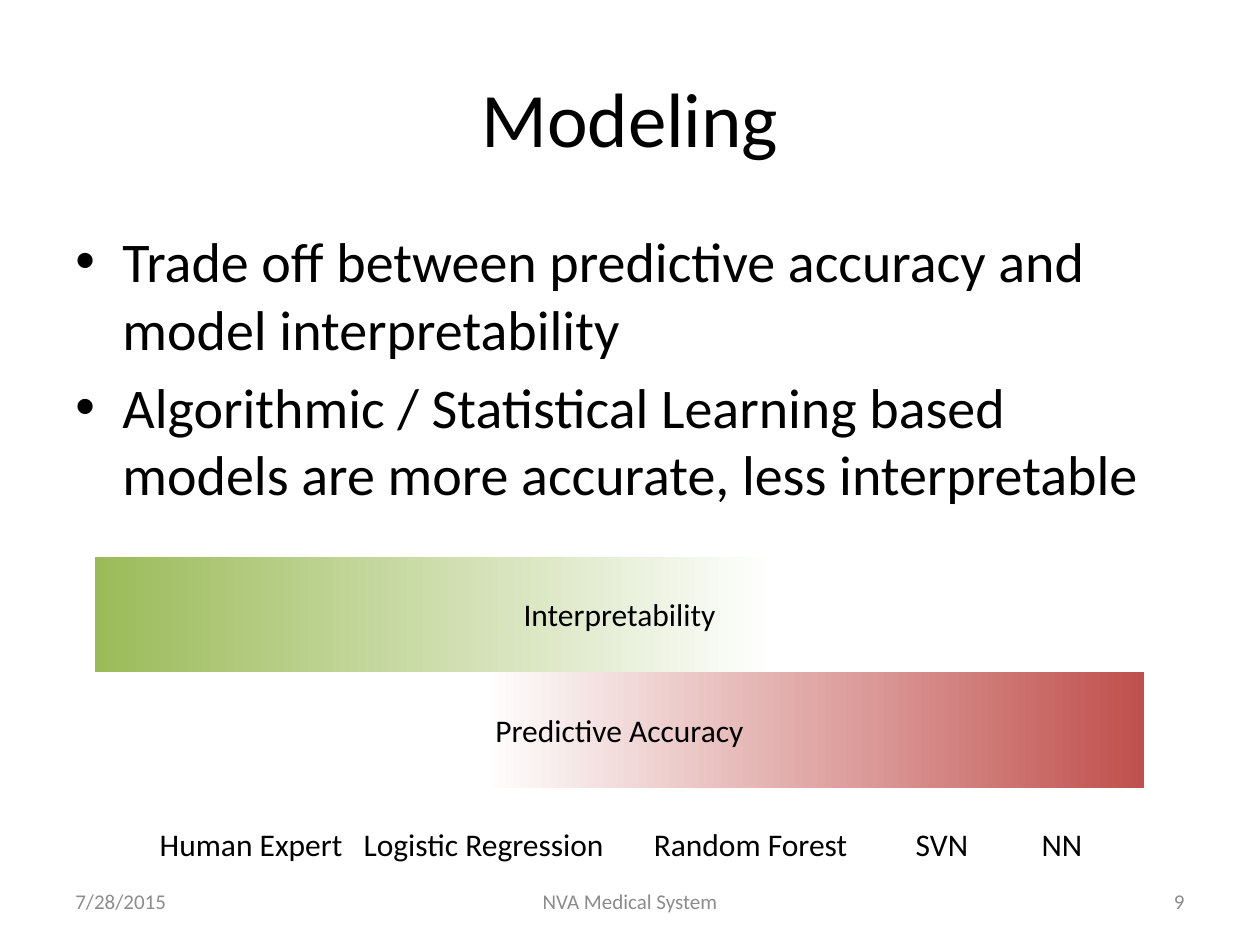
from copy import deepcopy

from lxml import etree
from pptx import Presentation
from pptx import util as u
from pptx.dml.color import RGBColor
from pptx.enum import shapes, text
from pptx.oxml import ns

COLORS = {"ink": "000000", "footer": "8C8C8C", "white": "FFFFFF",
          "green": "9BBB59", "red": "C0504D"}
ALIGN = text.PP_ALIGN


def write(shape, lines, size=18, color="ink", align=ALIGN.LEFT,
          anchor=text.MSO_ANCHOR.MIDDLE, bullet=False, tabs=()):
    frame = shape.text_frame
    frame.word_wrap = True
    frame.vertical_anchor = anchor
    frame.text = "\n".join(lines)
    for paragraph in frame.paragraphs:
        paragraph.alignment = align
        font = paragraph.runs[0].font
        font.name, font.size = "Calibri", u.Pt(size)
        font.color.rgb = RGBColor.from_string(COLORS[color])
        properties = paragraph._p.get_or_add_pPr()
        if bullet:
            paragraph.space_before = u.Pt(size * 0.2)
            indent = u.Cm(0.95)
            properties.set("marL", str(indent))
            properties.set("indent", str(-indent))
            etree.SubElement(properties, ns.qn("a:buFont"), typeface="Arial")
            etree.SubElement(properties, ns.qn("a:buChar"), char="•")
        if tabs:
            tab_list = etree.SubElement(properties, ns.qn("a:tabLst"))
            for tab in tabs:
                etree.SubElement(tab_list, ns.qn("a:tab"),
                                 pos=str(u.Cm(tab)), algn="l")


presentation = Presentation()
presentation.slide_width, presentation.slide_height = u.Cm(25.4), u.Cm(19.05)
slide = presentation.slides.add_slide(presentation.slide_layouts[5])

# Title
title = slide.shapes.title
title.left, title.top = u.Cm(1.27), u.Cm(0.76)
title.width, title.height = u.Cm(22.86), u.Cm(3.18)
write(title, ["Modeling"], size=44, align=ALIGN.CENTER)

# Bullets
body = slide.shapes.add_textbox(u.Cm(1.27), u.Cm(4.45), u.Cm(22.86), u.Cm(6.15))
write(body, ["Trade off between predictive accuracy and model interpretability",
             "Algorithmic / Statistical Learning based models are more accurate, "
             "less interpretable"],
      size=32, anchor=text.MSO_ANCHOR.TOP, bullet=True)

# Gradient bars, fading in opposite directions
bar_height = 2.33
bars = [("Interpretability", "green", 0.35, 180),
        ("Predictive Accuracy", "red", 0.37, 0)]
for row, (label, color, fade, angle) in enumerate(bars):
    bar = slide.shapes.add_shape(shapes.MSO_SHAPE.RECTANGLE, u.Cm(1.91),
                                 u.Cm(11.22 + row * bar_height),
                                 u.Cm(21.16), u.Cm(bar_height))
    bar.shadow.inherit = False
    bar.line.fill.background()
    bar.fill.gradient()
    bar.fill.gradient_angle = angle
    stop_list = bar._element.spPr.find(".//" + ns.qn("a:gsLst"))
    stop_list.append(deepcopy(stop_list[-1]))
    stops = [(0, "white"), (fade, "white"), (1, color)]
    for stop, (position, stop_color) in zip(bar.fill.gradient_stops, stops):
        stop.position = position
        stop.color.rgb = RGBColor.from_string(COLORS[stop_color])
    write(bar, [label], align=ALIGN.CENTER)

# Models along the scale
models = ["Human Expert", "Logistic Regression", "Random Forest", "SVN", "NN"]
scale = slide.shapes.add_textbox(u.Cm(2.97), u.Cm(16.51), u.Cm(19.9), u.Cm(1.03))
write(scale, ["\t".join(models)], anchor=text.MSO_ANCHOR.TOP,
      tabs=(4.11, 9.96, 15.24, 17.78))

# Footer
footers = [("7/28/2015", 1.27, 5.93, ALIGN.LEFT),
           ("NVA Medical System", 8.68, 8.04, ALIGN.CENTER),
           ("9", 18.2, 5.93, ALIGN.RIGHT)]
for label, left, width, align in footers:
    footer = slide.shapes.add_textbox(u.Cm(left), u.Cm(17.66), u.Cm(width), u.Cm(1.01))
    write(footer, [label], size=12, color="footer", align=align)

presentation.save("out.pptx")
